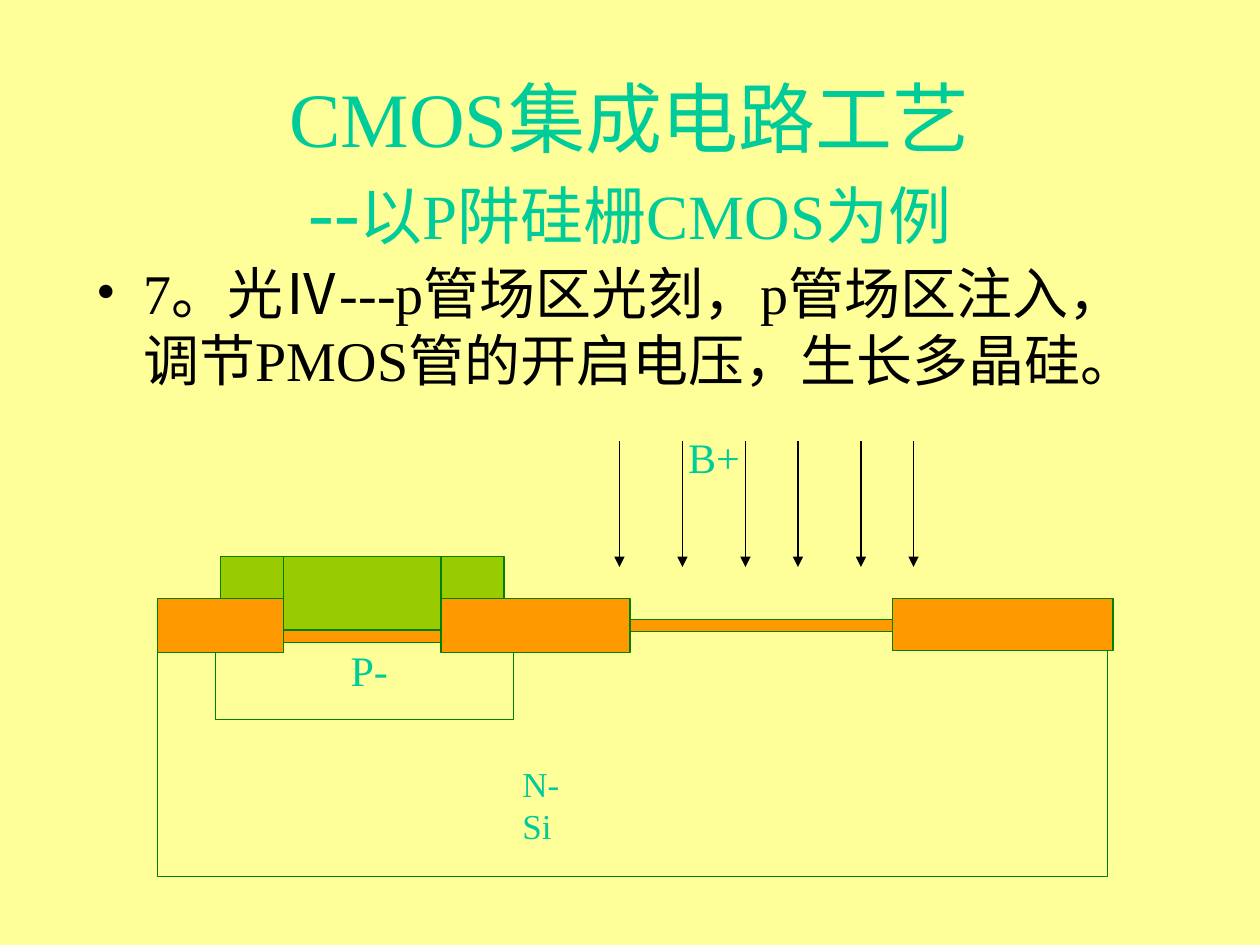
from lxml import etree
from pptx import Presentation
from pptx.dml.color import RGBColor
from pptx.enum.shapes import MSO_CONNECTOR, MSO_SHAPE
from pptx.enum.text import MSO_ANCHOR, MSO_AUTO_SIZE, PP_ALIGN
from pptx.oxml.ns import qn
from pptx.util import Pt

RECTANGLE = MSO_SHAPE.RECTANGLE
STRAIGHT = MSO_CONNECTOR.STRAIGHT
TOP, MIDDLE = MSO_ANCHOR.TOP, MSO_ANCHOR.MIDDLE
LEFT, CENTER = PP_ALIGN.LEFT, PP_ALIGN.CENTER
NO_AUTOFIT, GROW = MSO_AUTO_SIZE.NONE, MSO_AUTO_SIZE.SHAPE_TO_FIT_TEXT

FONT = "Times New Roman"
COLORS = {
    "background": "FFFF99",
    "heading": "00CC99",
    "ink": "000000",
    "outline": "008000",
    "oxide": "FF9900",
    "polysilicon": "99CC00",
}

SILICON_REGIONS = [(123, 360, 170.5, 51.25), (90, 360, 543, 141)]
OXIDE_LAYERS = [
    (90, 342, 72, 31),
    (252, 342, 108, 31),
    (510, 342, 126, 29.75),
    (162, 360, 90, 7),
    (360, 354, 150, 7),
]
POLYSILICON_LAYERS = [
    (162, 318, 90, 42),
    (126, 318, 36, 24),
    (252, 318, 36, 24),
]
ION_BEAMS = [354, 390, 426, 456, 492, 522]
BEAM_TOP, BEAM_TIP = 252, 324


def rgb(name):
    return RGBColor.from_string(COLORS[name])


def format_runs(paragraph, size, color):
    for run in paragraph.runs:
        run.font.name = FONT
        run.font.size = Pt(size)
        run.font.color.rgb = rgb(color)


def add_title(slide):
    title = slide.shapes.title
    title.left, title.top, title.width, title.height = Pt(54), Pt(48), Pt(612), Pt(90)
    frame = title.text_frame
    frame.auto_size = NO_AUTOFIT
    frame.vertical_anchor = MIDDLE
    heading = frame.paragraphs[0]
    heading.text = "CMOS集成电路工艺\v--"
    heading.alignment = CENTER
    format_runs(heading, 44, "heading")
    subtitle = heading.add_run()
    subtitle.text = "以P阱硅栅CMOS为例"
    subtitle.font.name = FONT
    subtitle.font.size = Pt(36)
    subtitle.font.color.rgb = rgb("heading")


def add_text(slide, text, box, size, color, align=LEFT, anchor=TOP, wrap=False, fit=NO_AUTOFIT):
    frame = slide.shapes.add_textbox(*map(Pt, box)).text_frame
    frame.word_wrap = wrap
    frame.auto_size = fit
    frame.vertical_anchor = anchor
    paragraph = frame.paragraphs[0]
    paragraph.text = text
    paragraph.alignment = align
    format_runs(paragraph, size, color)
    return paragraph


def add_bullet(paragraph, indent):
    properties = paragraph._p.get_or_add_pPr()
    properties.set("marL", str(Pt(indent)))
    properties.set("indent", str(-Pt(indent)))
    properties.set("hangingPunct", "0")
    etree.SubElement(properties, qn("a:buFont")).set("typeface", FONT)
    etree.SubElement(properties, qn("a:buChar")).set("char", "•")


def add_layer(slide, box, fill=None):
    layer = slide.shapes.add_shape(RECTANGLE, *map(Pt, box))
    layer.shadow.inherit = False
    if fill:
        layer.fill.solid()
        layer.fill.fore_color.rgb = rgb(fill)
    else:
        layer.fill.background()
    layer.line.color.rgb = rgb("outline")
    layer.line.width = Pt(0.75)


def add_ion_beam(slide, x):
    beam = slide.shapes.add_connector(STRAIGHT, Pt(x), Pt(BEAM_TOP), Pt(x), Pt(BEAM_TIP))
    beam.line.color.rgb = rgb("ink")
    beam.line.width = Pt(0.75)
    etree.SubElement(beam.line._get_or_add_ln(), qn("a:tailEnd")).set("type", "triangle")
    etree.SubElement(beam._element.spPr, qn("a:effectLst"))


def main():
    presentation = Presentation()
    presentation.slide_width, presentation.slide_height = Pt(720), Pt(540)
    slide = presentation.slides.add_slide(presentation.slide_layouts[5])
    slide.background.fill.solid()
    slide.background.fill.fore_color.rgb = rgb("background")

    add_title(slide)
    step = add_text(
        slide,
        "7。光Ⅳ---p管场区光刻，p管场区注入， 调节PMOS管的开启电压，生长多晶硅。",
        (48, 144, 612, 324), 32, "ink", wrap=True,
    )
    step.space_before = Pt(8)
    add_bullet(step, 27)

    for region in SILICON_REGIONS:
        add_layer(slide, region)
    add_text(slide, "N-Si", (291.5, 432, 52, 31.5), 20, "heading", fit=GROW)
    add_text(slide, "P-", (178, 369.5, 66, 26), 24, "heading", CENTER, MIDDLE)
    for layer in OXIDE_LAYERS:
        add_layer(slide, layer, "oxide")
    for layer in POLYSILICON_LAYERS:
        add_layer(slide, layer, "polysilicon")

    for x in ION_BEAMS:
        add_ion_beam(slide, x)
    add_text(slide, "B+", (384, 246, 48, 30), 24, "heading", CENTER, MIDDLE)

    presentation.save("out.pptx")


if __name__ == "__main__":
    main()
